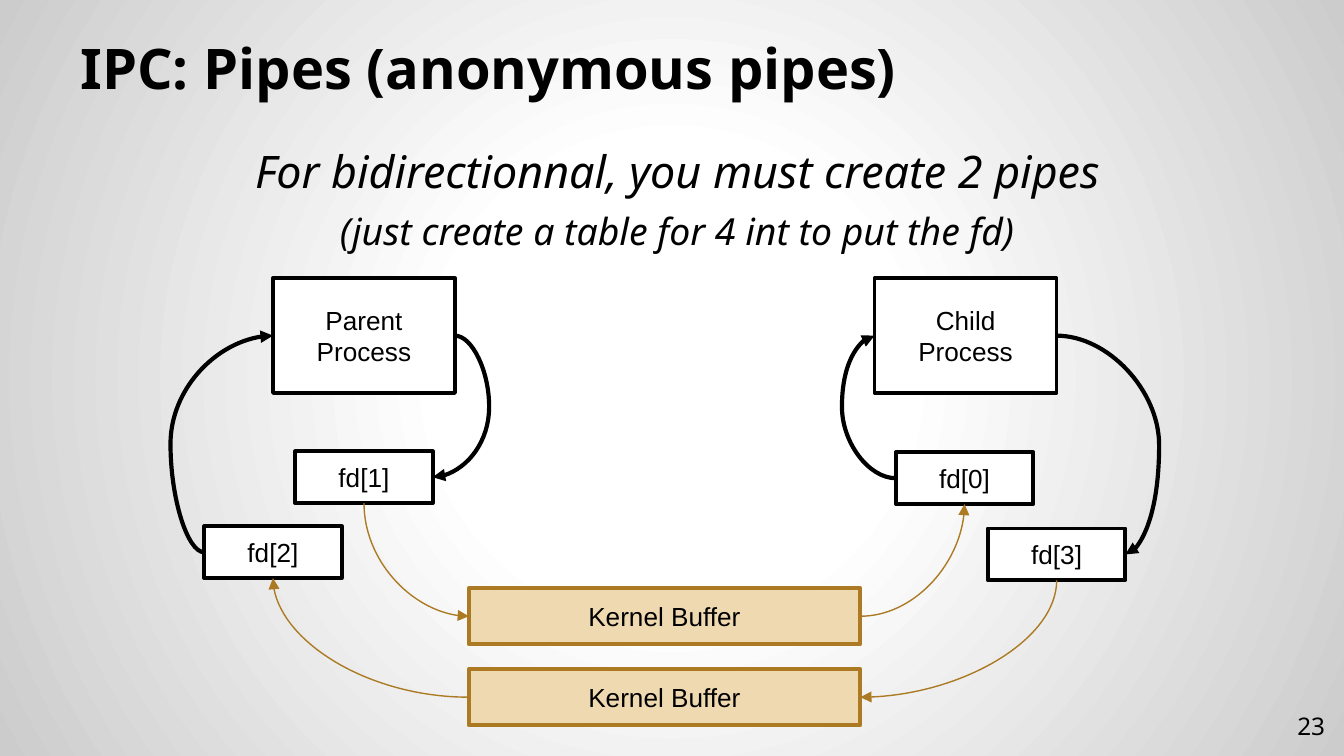
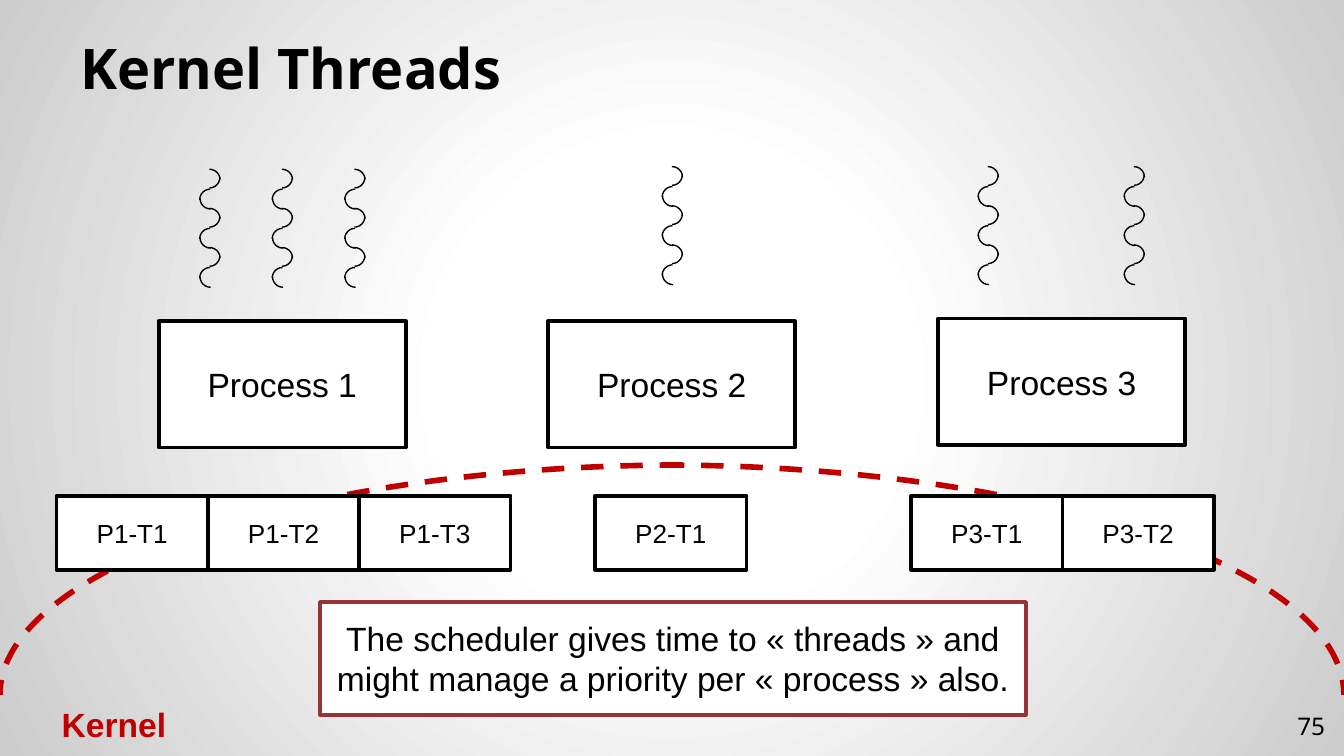
from pptx import Presentation
from pptx.dml.color import RGBColor
from pptx.enum.dml import MSO_LINE
from pptx.enum.shapes import MSO_CONNECTOR, MSO_SHAPE
from pptx.enum.text import MSO_ANCHOR as ANCHOR, PP_ALIGN as ALIGN
from pptx.oxml import parse_xml
from pptx.oxml.ns import nsdecls, qn
from pptx.util import Cm, Pt

COLORS = {
    "ink": "000000",
    "paper": "FFFFFF",
    "edge": "CCCCCC",
    "buffer": "EFD9B0",
    "buffer_line": "AB7A22",
    "kernel": "C00000",
    "note_line": "963334",
}
TITLE_FONT, DIAGRAM_FONT = "Noto Sans", "Arial"
TOP, LEFT, BOTTOM, RIGHT = range(4)


def color(name):
    return RGBColor.from_string(COLORS[name])


class Deck:
    def __init__(self):
        self.presentation = Presentation()
        self.presentation.slide_width = Cm(25.4)
        self.presentation.slide_height = Cm(14.29)
        self.slide = None

    def new_slide(self, title, number):
        layout = self.presentation.slide_layouts[6]
        self.slide = self.presentation.slides.add_slide(layout)
        self.background()
        self.text([title], 1.27, 0.58, 22.86, 1.58, 30, bold=True, anchor=ANCHOR.BOTTOM)
        self.text([number], 23.77, 13.18, 1.52, 1.09, 13,
                  align=ALIGN.RIGHT, anchor=ANCHOR.MIDDLE)

    def background(self):
        stops = "".join(
            f'<a:gs pos="{position}"><a:srgbClr val="{COLORS[name]}"/></a:gs>'
            for position, name in ((0, "paper"), (30000, "paper"), (100000, "edge")))
        self.slide.element.cSld.insert(0, parse_xml(
            f'<p:bg {nsdecls("p", "a")}><p:bgPr><a:gradFill><a:gsLst>{stops}</a:gsLst>'
            '<a:path path="circle"><a:fillToRect l="50000" t="50000" r="50000" b="50000"/>'
            '</a:path></a:gradFill><a:effectLst/></p:bgPr></p:bg>'))

    def set_lines(self, frame, lines, size, font, ink="ink", align=ALIGN.CENTER,
                  bold=False, italic=False, space=0):
        frame.word_wrap = True
        sizes = size if isinstance(size, tuple) else (size,) * len(lines)
        for index, (line, points) in enumerate(zip(lines, sizes)):
            paragraph = frame.add_paragraph() if index else frame.paragraphs[0]
            paragraph.text = line
            paragraph.alignment = align
            if index and space:
                paragraph.space_before = Pt(space)
            paragraph.font.name = font
            paragraph.font.size = Pt(points)
            paragraph.font.bold = bold
            paragraph.font.italic = italic
            paragraph.font.color.rgb = color(ink)

    def text(self, lines, left, top, width, height, size, font=TITLE_FONT,
             align=ALIGN.LEFT, anchor=ANCHOR.TOP, inset=0.25, indent=0, **style):
        box = self.slide.shapes.add_textbox(Cm(left), Cm(top), Cm(width), Cm(height))
        frame = box.text_frame
        frame.vertical_anchor = anchor
        frame.margin_top = frame.margin_bottom = Cm(inset)
        frame.margin_left, frame.margin_right = Cm(0.25 + indent), Cm(0.25)
        self.set_lines(frame, lines, size, font, align=align, **style)

    def box(self, lines, left, top, width, height, size=14, fill="paper", line="ink"):
        shape = self.slide.shapes.add_shape(
            MSO_SHAPE.RECTANGLE, Cm(left), Cm(top), Cm(width), Cm(height))
        shape.shadow.inherit = False
        shape.fill.solid()
        shape.fill.fore_color.rgb = color(fill)
        shape.line.color.rgb = color(line)
        shape.line.width = Pt(2)
        shape.text_frame.vertical_anchor = ANCHOR.MIDDLE
        self.set_lines(shape.text_frame, lines, size, DIAGRAM_FONT)
        return shape

    def arc(self, shapes, left, top, width, height, line="ink", weight=0.75, rotation=0):
        shape = shapes.add_shape(MSO_SHAPE.ARC, Cm(left), Cm(top), Cm(width), Cm(height))
        shape.shadow.inherit = False
        shape.fill.background()
        shape.line.color.rgb = color(line)
        shape.line.width = Pt(weight)
        shape.rotation = rotation
        return shape

    def squiggle(self, left, top):
        group = self.slide.shapes.add_group_shape()
        quarters = ((0, 0, 0), (90, 0, -0.04), (180, 0.02, 0.36), (270, 0.01, 0.38))
        for wave in range(3):
            for rotation, shift, drop in quarters:
                self.arc(group.shapes, left + shift, top + wave * 0.74 + drop,
                         0.4, 0.39, rotation=rotation)

    def dome(self, left, mirrored):
        shape = self.arc(self.slide.shapes, left, 8.79, 25.78, 8.69, "kernel", 3)
        shape.line.dash_style = MSO_LINE.DASH
        if mirrored:
            shape.element.spPr.find(qn("a:xfrm")).set("flipH", "1")

    def curve(self, start, start_side, end, end_side, line="ink", weight=2.25, bend=None):
        connector = self.slide.shapes.add_connector(MSO_CONNECTOR.CURVE, 0, 0, 0, 0)
        connector.begin_connect(start, start_side)
        connector.end_connect(end, end_side)
        properties = connector.element.spPr
        geometry = properties.find(qn("a:prstGeom"))
        if bend is None:
            geometry.set("prst", "curvedConnector2")
            if start_side == BOTTOM:
                self.turn_down(connector)
        else:
            geometry.find(qn("a:avLst")).append(parse_xml(
                f'<a:gd {nsdecls("a")} name="adj1" fmla="val {round(bend * 100000)}"/>'))
        connector.line.color.rgb = color(line)
        connector.line.width = Pt(weight)
        properties.find(qn("a:ln")).append(
            parse_xml(f'<a:tailEnd {nsdecls("a")} type="triangle"/>'))
        properties.append(parse_xml(f'<a:effectLst {nsdecls("a")}/>'))

    def turn_down(self, connector):
        rightward = connector.end_x > connector.begin_x
        width, height = connector.width, connector.height
        connector.left += (width - height) // 2
        connector.top += (height - width) // 2
        connector.width, connector.height = height, width
        frame = connector.element.spPr.find(qn("a:xfrm"))
        frame.set("rot", "5400000")
        frame.set("flipH", "0")
        frame.set("flipV", "1" if rightward else "0")


def pipes(deck):
    deck.new_slide("IPC: Pipes (anonymous pipes)", "23")
    deck.text(["For bidirectionnal, you must create 2 pipes",
               "(just create a table for 4 int to put the fd)"],
              1.27, 2.46, 22.86, 11.2, (24, 20), align=ALIGN.CENTER,
              indent=0.2, italic=True, space=6)
    parent, child = (deck.box([name, "Process"], left, 5.26, 3.44, 2.17)
                     for name, left in (("Parent", 5.16), ("Child", 16.53)))
    places = ((16.93, 8.55), (5.58, 8.53), (3.86, 9.95), (18.67, 9.99))
    fds = [deck.box([f"fd[{index}]"], left, top, 2.6, 0.98)
           for index, (left, top) in enumerate(places)]
    upper, lower = (deck.box(["Kernel Buffer"], 8.86, top, 7.4, 1.06,
                             fill="buffer", line="buffer_line")
                    for top in (11.12, 12.65))
    for start, start_side, end, end_side in (
            (fds[1], BOTTOM, upper, LEFT), (upper, RIGHT, fds[0], BOTTOM),
            (fds[3], BOTTOM, lower, RIGHT), (lower, LEFT, fds[2], BOTTOM)):
        deck.curve(start, start_side, end, end_side, "buffer_line", 0.75)
    for start, end, side, bend in (
            (parent, fds[1], RIGHT, -1.54), (fds[0], child, LEFT, 2.54),
            (child, fds[3], RIGHT, 1.49), (fds[2], parent, LEFT, -0.49)):
        deck.curve(start, side, end, side, bend=bend)


def threads(deck):
    deck.new_slide("Kernel Threads", "75")
    deck.dome(-0.38, False)
    deck.dome(0, True)
    deck.text(["Kernel"], 0.1, 13.18, 4.11, 1.02, 18, DIAGRAM_FONT, ALIGN.CENTER,
              inset=0.13, ink="kernel", bold=True)
    processes = (
        (3, 6.07, 3.2, (3.76, 5.13, 6.5), 1.07),
        (10.36, 6.07, 3.15, (12.5,), 11.25),
        (17.73, 6.02, 3.15, (18.47, 21.23), 17.22),
    )
    for number, (left, top, wave_top, waves, row_left) in enumerate(processes, 1):
        deck.box([f"Process {number}"], left, top, 4.67, 2.39, 18)
        for index, wave_left in enumerate(waves):
            deck.squiggle(wave_left, wave_top)
            deck.box([f"P{number}-T{index + 1}"], row_left + index * 2.86, 9.37, 2.86, 1.4)
    deck.box(["The scheduler gives time to « threads » and might manage "
              "a priority per « process » also."],
             6.05, 11.38, 13.34, 2.13, 18, line="note_line")


def main():
    deck = Deck()
    pipes(deck)
    threads(deck)
    deck.presentation.save("out.pptx")


if __name__ == "__main__":
    main()
